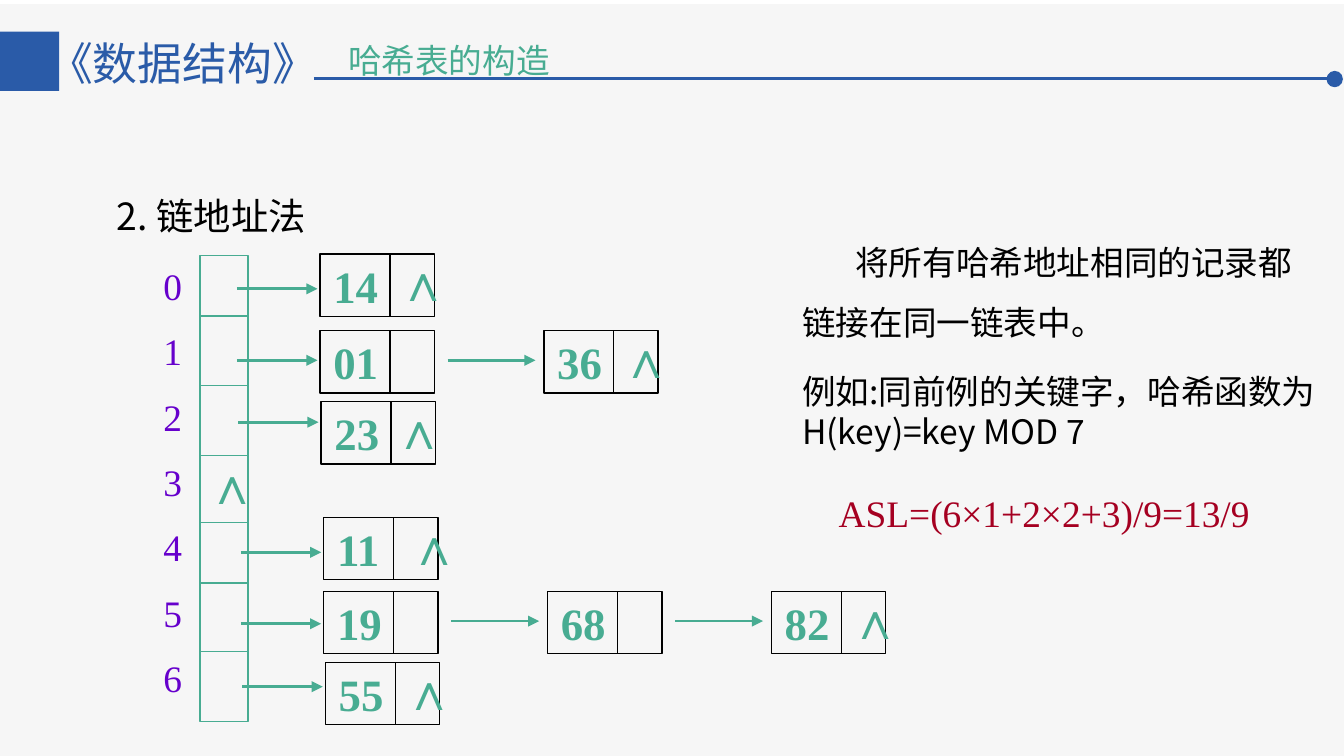
from lxml import etree
from pptx import Presentation
from pptx.dml.color import RGBColor
from pptx.enum.shapes import MSO_CONNECTOR, MSO_SHAPE
from pptx.enum.text import MSO_ANCHOR, MSO_AUTO_SIZE, PP_ALIGN
from pptx.oxml.ns import qn
from pptx.util import Cm, Pt

STRAIGHT = MSO_CONNECTOR.STRAIGHT
RECT, OVAL = MSO_SHAPE.RECTANGLE, MSO_SHAPE.OVAL
LEFT, TOP, MIDDLE = PP_ALIGN.LEFT, MSO_ANCHOR.TOP, MSO_ANCHOR.MIDDLE
NO_FIT = MSO_AUTO_SIZE.NONE

COLORS = {"blue": "2A5BA8", "green": "48AC92", "purple": "6600CC",
          "red": "A50021", "black": "000000", "panel": "F6F6F6"}
SANS, SERIF = "Noto Sans CJK JP", "Times New Roman"
NODE_W, NODE_H, NODE_STEP, POINTER_X = 2.16, 1.18, 4.23, 1.32


def write(frame, lines, size, font, color, bold=False, spacing=1.0, gap=0, anchor=TOP):
    """Fill a text frame, one paragraph for each line."""
    frame.word_wrap = True
    frame.auto_size = NO_FIT
    frame.vertical_anchor = anchor
    for i, line in enumerate(lines):
        paragraph = frame.paragraphs[0] if i == 0 else frame.add_paragraph()
        paragraph.alignment = LEFT
        paragraph.line_spacing = spacing
        paragraph.space_before = Pt(gap if i else 0)
        run = paragraph.add_run()
        run.text = line
        run.font.size = Pt(size)
        run.font.name = font
        run.font.bold = bold
        run.font.color.rgb = RGBColor.from_string(COLORS[color])
        if font == SANS:
            east_asian = etree.SubElement(run.font._element, qn("a:ea"))
            east_asian.set("typeface", font)


def draw_line(x1, y1, x2, y2, color, width, arrow=False):
    line = slide.shapes.add_connector(STRAIGHT, Cm(x1), Cm(y1), Cm(x2), Cm(y2))
    line.line.color.rgb = RGBColor.from_string(COLORS[color])
    line.line.width = Pt(width)
    if arrow:
        etree.SubElement(line.line._get_or_add_ln(), qn("a:tailEnd")).set("type", "triangle")
    etree.SubElement(line._element.spPr, qn("a:effectLst"))


prs = Presentation()
prs.slide_width, prs.slide_height = Cm(25.4), Cm(14.29)
slide = prs.slides.add_slide(prs.slide_layouts[1])
shapes = slide.shapes
title, explanation = slide.placeholders

# Panel and header
for kind, x, y, w, h, color in [
    (RECT, 0, 0.08, 25.4, 14.21, "panel"),
    (RECT, 0, 0.6, 1.12, 1.12, "blue"),
    (OVAL, 25.07, 1.34, 0.31, 0.31, "blue"),
]:
    block = shapes.add_shape(kind, Cm(x), Cm(y), Cm(w), Cm(h))
    block.shadow.inherit = False
    block.fill.solid()
    block.fill.fore_color.rgb = RGBColor.from_string(COLORS[color])
    block.line.fill.background()
draw_line(5.93, 1.49, 25.07, 1.49, "blue", 1.75)

# Placeholders go in front of the panel
for placeholder, x, y, w, h in [(title, 6.4, 0.66, 7.8, 0.99),
                                (explanation, 14.91, 4.06, 10.45, 2.57)]:
    shapes._spTree.append(placeholder._element)
    placeholder.left, placeholder.top = Cm(x), Cm(y)
    placeholder.width, placeholder.height = Cm(w), Cm(h)

frame = title.text_frame
frame.margin_left = frame.margin_right = Cm(0.18)
frame.margin_top = frame.margin_bottom = Cm(0.1)
write(frame, ["哈希表的构造"], 18, SANS, "green")

write(explanation.text_frame, ["将所有哈希地址相同的记录都", "链接在同一链表中。"],
      18, SANS, "black", spacing=1.5)
for paragraph, indent in zip(explanation.text_frame.paragraphs, (1, 0)):
    properties = paragraph._p.get_or_add_pPr()
    properties.set("marL", "0")
    properties.set("indent", str(Cm(indent)))
    etree.SubElement(properties, qn("a:buNone"))

# Text outside the chains
for x, y, w, h, lines, size, font, color, spacing, gap in [
    (0.66, 0.56, 5.74, 1.27, ["《数据结构》"], 24, SANS, "blue", 1, 0),
    (1.96, 3.1, 19.53, 1.4, ["2. 链地址法"], 20, SANS, "black", 1.5, 0),
    (2.84, 4.85, 1.37, 8.81, [str(i) for i in range(7)], 20, SERIF, "purple", 1, 11),
    (15.6, 9.14, 8.97, 1.12, ["ASL=(6×1+2×2+3)/9=13/9"], 20, SERIF, "red", 1, 0),
    (14.91, 6.88, 10.59, 1.8, ["例如:同前例的关键字，哈希函数为 H(key)=key MOD 7"],
     18, SANS, "black", 1, 0),
]:
    box = shapes.add_textbox(Cm(x), Cm(y), Cm(w), Cm(h))
    write(box.text_frame, lines, size, font, color, spacing=spacing, gap=gap)

# Bucket column
buckets = shapes.add_shape(RECT, Cm(3.78), Cm(4.83), Cm(0.91), Cm(8.81))
buckets.shadow.inherit = False
buckets.fill.background()
buckets.line.color.rgb = RGBColor.from_string(COLORS["green"])
buckets.line.width = Pt(0.75)
for y in (5.97, 7.29, 8.61, 9.88, 11.02, 12.32):
    draw_line(3.78, y, 4.69, y, "green", 0.75)

# Chains: left, top, arrow height, offset of the end mark, keys
chains = [
    (6.05, 4.8, 5.46, 1.21, ["14"]),
    (6.05, 6.25, 6.81, 1.2, ["01", "36"]),
    (6.07, 7.59, 7.98, 1.11, ["23"]),
    (6.12, 9.78, 10.44, 1.35, ["11"]),
    (6.12, 11.18, 11.79, 1.23, ["19", "68", "82"]),
    (6.15, 12.52, 12.98, 1.22, ["55"]),
]
end_marks = [(3.66, 8.43)]
for left, top, arrow_y, mark_x, keys in chains:
    draw_line(left - 1.57, arrow_y, left - 0.05, arrow_y, "green", 1.5, arrow=True)
    for i, key in enumerate(keys):
        x = left + i * NODE_STEP
        node = shapes.add_shape(RECT, Cm(x), Cm(top), Cm(NODE_W), Cm(NODE_H))
        node.shadow.inherit = False
        node.fill.background()
        node.line.color.rgb = RGBColor.from_string(COLORS["black"])
        node.line.width = Pt(0.75)
        write(node.text_frame, [key], 24, SERIF, "green", bold=True, anchor=MIDDLE)
        draw_line(x + POINTER_X, top, x + POINTER_X, top + NODE_H, "black", 0.75)
        if i < len(keys) - 1:
            link_y = top + 0.56
            draw_line(x + 2.41, link_y, x + 4.07, link_y, "green", 1.5, arrow=True)
    end_marks.append((x + mark_x, top - 0.21))

for x, y in end_marks:
    mark = shapes.add_textbox(Cm(x), Cm(y), Cm(1.01), Cm(1.44))
    write(mark.text_frame, ["∧"], 28, SERIF, "green", bold=True)

prs.save("out.pptx")
